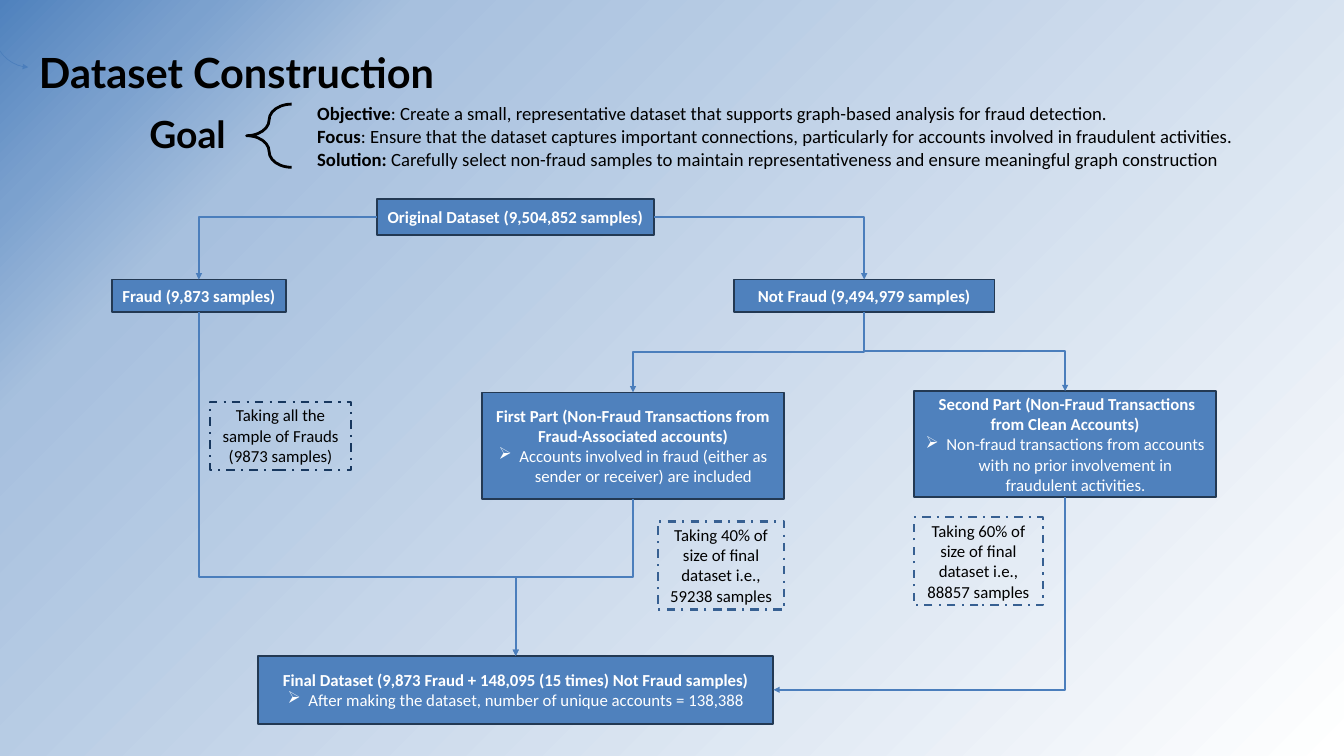
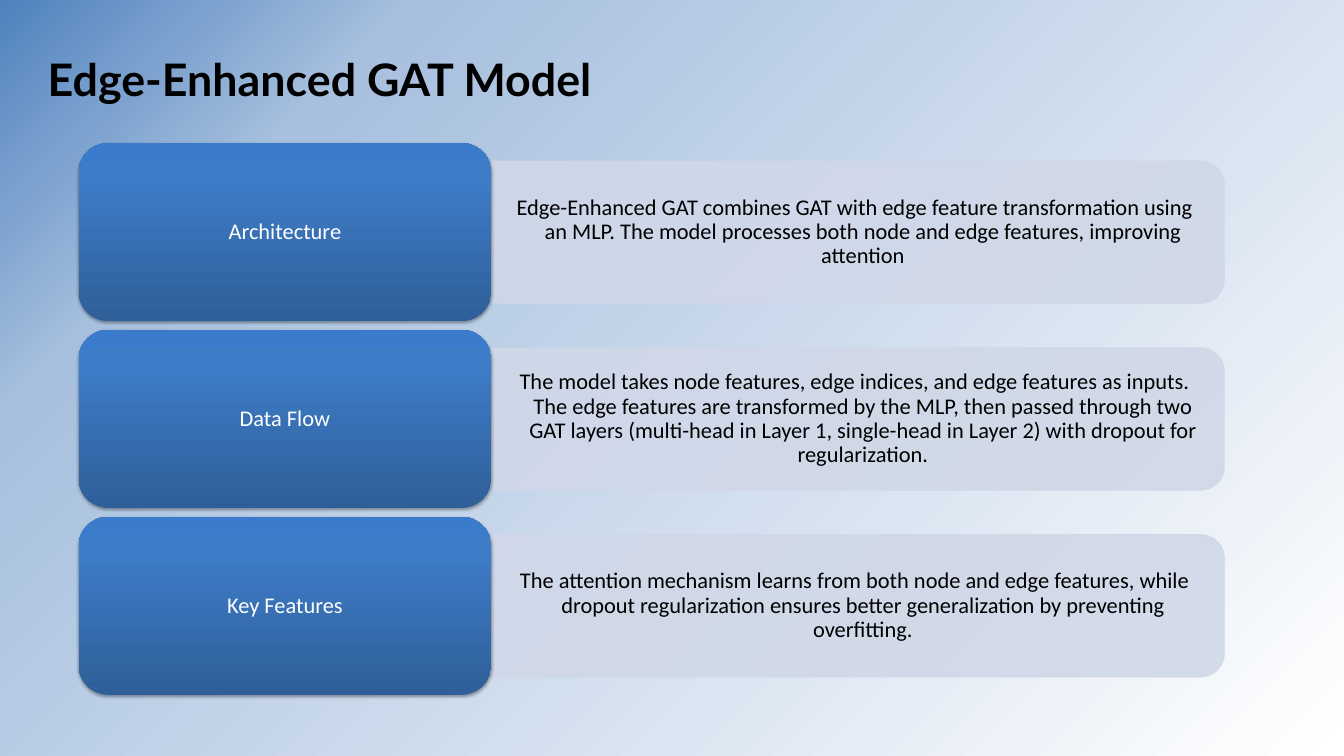
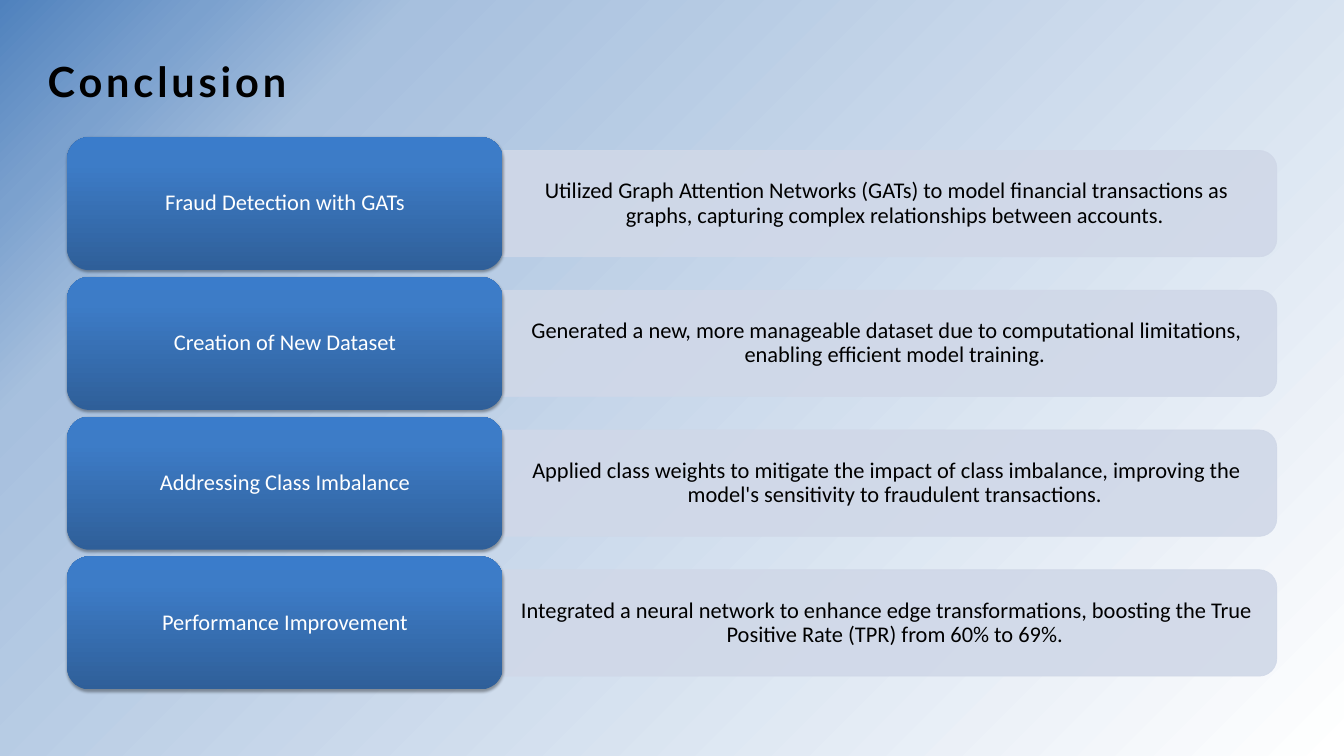
from lxml import etree
from pptx import Presentation
from pptx.dml.color import RGBColor
from pptx.enum.dml import MSO_LINE
from pptx.enum.shapes import MSO_CONNECTOR, MSO_SHAPE
from pptx.enum.text import MSO_ANCHOR, MSO_AUTO_SIZE, PP_ALIGN
from pptx.oxml import parse_xml
from pptx.oxml.ns import nsdecls, qn
from pptx.util import Inches, Pt

RECTANGLE, ROUNDED = MSO_SHAPE.RECTANGLE, MSO_SHAPE.ROUNDED_RECTANGLE
TOP_ROUNDED, BRACE = MSO_SHAPE.ROUND_2_SAME_RECTANGLE, MSO_SHAPE.LEFT_BRACE
ELBOW, CURVE = MSO_CONNECTOR.ELBOW, MSO_CONNECTOR.CURVE
TOP, MIDDLE = MSO_ANCHOR.TOP, MSO_ANCHOR.MIDDLE
LEFT, CENTER, RIGHT = PP_ALIGN.LEFT, PP_ALIGN.CENTER, PP_ALIGN.RIGHT
UP_SIDE, LEFT_SIDE, DOWN_SIDE, RIGHT_SIDE = 0, 1, 2, 3

BLACK = RGBColor(0x00, 0x00, 0x00)
WHITE = RGBColor(0xFF, 0xFF, 0xFF)
BLUE = RGBColor(0x4F, 0x81, 0xBD)
BOX_EDGE = RGBColor(0x23, 0x39, 0x53)
ARROW_BLUE = RGBColor(0x4B, 0x7E, 0xBC)
NAVY = RGBColor(0x17, 0x37, 0x5E)
STEEL = RGBColor(0x37, 0x60, 0x92)
PANEL = RGBColor(0xD0, 0xD8, 0xE8)

# Gradients: (percent, colour) stops and the direction
BACKDROP = ([(0, WHITE), (80, RGBColor(0xA7, 0xC0, 0xDE)),
             (90, RGBColor(0x7B, 0xA1, 0xCE)), (100, BLUE)],
            '<a:path path="circle"><a:fillToRect l="100000" t="100000"/></a:path>')
LABEL_FILL = ([(0, RGBColor(0x2F, 0x5F, 0x99)), (80, RGBColor(0x3D, 0x7C, 0xC7)),
               (100, RGBColor(0x3A, 0x7C, 0xCB))], '<a:lin ang="16200000" scaled="0"/>')
TITLE_FONT, BODY_FONT = "Lato", "Calibri"

# Slide 1 content
GOALS = [
    ("Objective", ": Create a small, representative dataset that supports graph-based analysis "
                  "for fraud detection."),
    ("Focus", ": Ensure that the dataset captures important connections, particularly for "
              "accounts involved in fraudulent activities."),
    ("Solution: ", "Carefully select non-fraud samples to maintain representativeness and "
                   "ensure meaningful graph construction"),
]
# name: (left, top, width, height), heading, bullet
STAGES = {
    "original": ((5.61, 2.96, 4.12, 0.54), "Original Dataset (9,504,852 samples)", None),
    "fraud": ((1.67, 4.16, 2.58, 0.48), "Fraud (9,873 samples)", None),
    "not fraud": ((10.92, 4.16, 3.88, 0.48), "Not Fraud (9,494,979 samples)", None),
    "first": ((7.17, 5.84, 4.5, 1.58),
              "First Part (Non-Fraud Transactions from Fraud-Associated accounts)",
              "Accounts involved in fraud (either as sender or receiver) are included"),
    "second": ((13.6, 5.82, 4.5, 1.58),
               " Second Part (Non-Fraud Transactions from Clean Accounts)",
               "Non-fraud transactions from accounts with no prior involvement in "
               "fraudulent activities."),
    "final": ((3.84, 9.76, 7.67, 1.01),
              "Final Dataset (9,873 Fraud + 148,095 (15 times) Not Fraud samples)",
              "After making the dataset, number of unique accounts = 138,388"),
}
# from, side, to, side, position of the bend (None for a single corner)
FLOWS = [
    ("fraud", DOWN_SIDE, "final", UP_SIDE, 0.77),
    ("first", DOWN_SIDE, "final", UP_SIDE, 0.5),
    ("second", DOWN_SIDE, "final", RIGHT_SIDE, None),
    ("original", LEFT_SIDE, "fraud", UP_SIDE, None),
    ("original", RIGHT_SIDE, "not fraud", UP_SIDE, None),
    ("not fraud", DOWN_SIDE, "first", UP_SIDE, 0.5),
    ("not fraud", DOWN_SIDE, "second", UP_SIDE, 0.5),
]
SAMPLING_NOTES = [
    ((3.12, 5.98, 2.11, 1.01), NAVY, "Taking all the sample of Frauds (9873 samples)"),
    ((9.79, 7.76, 1.88, 1.31), STEEL, "Taking 40% of size of final dataset i.e., 59238 samples"),
    ((13.6, 7.7, 1.92, 1.31), STEEL, "Taking 60% of size of final dataset i.e., 88857 samples"),
]

# Slides 2 and 3 content
MODEL_ROWS = [
    ("Architecture", "Edge-Enhanced GAT combines GAT with edge feature transformation using an "
                     "MLP. The model processes both node and edge features, improving attention"),
    ("Data Flow", "The model takes node features, edge indices, and edge features as inputs. The "
                  "edge features are transformed by the MLP, then passed through two GAT layers "
                  "(multi-head in Layer 1, single-head in Layer 2) with dropout for "
                  "regularization."),
    ("Key Features", "The attention mechanism learns from both node and edge features, while "
                     "dropout regularization ensures better generalization by preventing "
                     "overfitting."),
]
CONCLUSION_ROWS = [
    ("Fraud Detection with GATs", "Utilized Graph Attention Networks (GATs) to model financial "
                                  "transactions as graphs, capturing complex relationships "
                                  "between accounts."),
    ("Creation of New Dataset", "Generated a new, more manageable dataset due to computational "
                                "limitations, enabling efficient model training."),
    ("Addressing Class Imbalance", "Applied class weights to mitigate the impact of class "
                                   "imbalance, improving the model's sensitivity to fraudulent "
                                   "transactions."),
    ("Performance Improvement", "Integrated a neural network to enhance edge transformations, "
                                "boosting the True Positive Rate (TPR) from 60% to 69%."),
]


def inches(values):
    return [Inches(value) for value in values]


def set_gradient(fill, holder, gradient):
    """Swap the solid fill inside holder for a gradient."""
    stops, direction = gradient
    stop_xml = "".join(f'<a:gs pos="{percent * 1000}"><a:srgbClr val="{colour}"/></a:gs>'
                       for percent, colour in stops)
    fill.solid()
    solid = holder.find(".//" + qn("a:solidFill"))
    solid.getparent().replace(solid, parse_xml(
        f'<a:gradFill {nsdecls("a")} rotWithShape="1"><a:gsLst>{stop_xml}</a:gsLst>'
        f'{direction}</a:gradFill>'))


def add_run(para, text, size, colour, bold=False, font=BODY_FONT):
    span = para.add_run()
    span.text = text
    span.font.name, span.font.size, span.font.bold = font, Pt(size), bold
    span.font.color.rgb = colour
    return span


def set_frame(frame, anchor=MIDDLE, insets=(0.1, 0.05)):
    frame.word_wrap = True
    frame.auto_size = MSO_AUTO_SIZE.NONE
    frame.vertical_anchor = anchor
    frame.margin_left = frame.margin_right = Inches(insets[0])
    frame.margin_top = frame.margin_bottom = Inches(insets[1])


def hang(para, indent, bullet=None):
    properties = para._p.get_or_add_pPr()
    properties.set("marL", str(Inches(indent)))
    properties.set("indent", str(-Inches(indent)))
    if bullet:
        etree.SubElement(properties, qn("a:buChar")).set("char", bullet)


def add_box(page, kind, place, fill=None, line=None, width=0):
    box = page.shapes.add_shape(kind, *inches(place))
    box.shadow.inherit = False
    if fill is None:
        box.fill.background()
    else:
        box.fill.solid()
        box.fill.fore_color.rgb = fill
    if line is None:
        box.line.fill.background()
    else:
        box.line.color.rgb = line
        box.line.width = Pt(width)
    return box


def add_text(page, place, insets):
    frame = page.shapes.add_textbox(*inches(place)).text_frame
    set_frame(frame, insets=insets)
    return frame


def add_page(deck, title, place, size, leading, tracking=0):
    page = deck.slides.add_slide(deck.slide_layouts[5])
    holder = page.shapes.title
    holder.left, holder.top, holder.width, holder.height = inches(place)
    set_frame(holder.text_frame, TOP, (0, 0))
    para = holder.text_frame.paragraphs[0]
    para.alignment, para.line_spacing = LEFT, Pt(leading)
    span = add_run(para, title, size, BLACK, True, TITLE_FONT)
    if tracking:
        span.font._element.set("spc", str(round(tracking * 100)))
    return page


def style_arrow(arrow, width):
    arrow.line.color.rgb = ARROW_BLUE
    arrow.line.width = Pt(width)
    properties = arrow.element.spPr
    etree.SubElement(properties.find(qn("a:ln")), qn("a:tailEnd")).set("type", "triangle")
    etree.SubElement(properties, qn("a:effectLst"))


def add_flow(page, start, start_side, end, end_side, bend):
    arrow = page.shapes.add_connector(ELBOW, 0, 0, 0, 0)
    arrow.begin_connect(start, start_side)
    arrow.end_connect(end, end_side)
    properties = arrow.element.spPr
    if start_side == DOWN_SIDE:
        # Turn the elbow so that it leaves downwards
        across, down = arrow.end_x - arrow.begin_x, arrow.end_y - arrow.begin_y
        middle_x, middle_y = arrow.begin_x + across // 2, arrow.begin_y + down // 2
        arrow.width, arrow.height = down, abs(across)
        arrow.left, arrow.top = middle_x - down // 2, middle_y - abs(across) // 2
        frame = properties.find(qn("a:xfrm"))
        frame.set("rot", str((270 if across > 0 else 90) * 60000))
        frame.set("flipH", "1" if across > 0 else "0")
    geometry = properties.find(qn("a:prstGeom"))
    if bend is None:
        geometry.set("prst", "bentConnector2")
    else:
        guide = etree.SubElement(geometry.find(qn("a:avLst")), qn("a:gd"))
        guide.set("name", "adj1")
        guide.set("fmla", f"val {round(bend * 100000)}")
    style_arrow(arrow, 2.25)


def build_dataset_page(deck):
    page = add_page(deck, "Dataset Construction", (0.58, 0.46, 16.35, 0.94), 44.5, 70.5)

    # Goal, brace and its three points
    para = add_text(page, (-1.64, 1.32, 5.31, 1.41), (0.31, 0.11)).paragraphs[0]
    para.alignment, para.line_spacing = RIGHT, 0.9
    add_run(para, "Goal", 40, BLACK, True, TITLE_FONT)
    brace = add_box(page, BRACE, (3.67, 1.55, 0.67, 0.94), line=BLACK, width=3)
    brace.adjustments[0], brace.adjustments[1] = 0.35, 0.5
    frame = add_text(page, (4.64, 1.34, 14.44, 1.41), (0.08, 0.08))
    for index, (term, meaning) in enumerate(GOALS):
        para = frame.add_paragraph() if index else frame.paragraphs[0]
        para.line_spacing, para.space_after = 0.9, Pt(3)
        hang(para, 0.25)
        add_run(para, term, 20, BLACK, True)
        add_run(para, meaning, 20, BLACK)

    # Flow chart
    boxes = {}
    for name, (place, heading, detail) in STAGES.items():
        boxes[name] = box = add_box(page, RECTANGLE, place, BLUE, BOX_EDGE, 2)
        set_frame(box.text_frame)
        para = box.text_frame.paragraphs[0]
        para.alignment = CENTER
        add_run(para, heading, 18, WHITE, True)
        if detail:
            para = box.text_frame.add_paragraph()
            para.alignment = CENTER
            hang(para, 0.31, "➢")
            add_run(para, detail, 18, WHITE)
    for start, start_side, end, end_side, bend in FLOWS:
        add_flow(page, boxes[start], start_side, boxes[end], end_side, bend)
    style_arrow(page.shapes.add_connector(CURVE, *inches((-0.58, 0, 0.42, 1))), 0.75)

    # Dashed sampling notes
    for place, colour, text in SAMPLING_NOTES:
        note = add_box(page, RECTANGLE, place, line=colour, width=2.25)
        note.line.dash_style = MSO_LINE.DASH_DOT
        set_frame(note.text_frame, TOP)
        para = note.text_frame.paragraphs[0]
        para.alignment = CENTER
        add_run(para, text, 18, BLACK)


def add_panel(page, left, top, width, height, text):
    # The shape is turned a quarter so that its round corners face right
    panel = add_box(page, TOP_ROUNDED, (left + (width - height) / 2, top - (width - height) / 2,
                                        height, width), PANEL, PANEL, 0.75)
    panel.rotation = 90
    for colour in panel.element.spPr.iter(qn("a:srgbClr")):
        etree.SubElement(colour, qn("a:alpha")).set("val", "90000")
    para = add_text(page, (left, top + height * 0.05, width - 0.1, height * 0.9),
                    (0.27, 0.14)).paragraphs[0]
    para.alignment, para.line_spacing = CENTER, 0.9
    hang(para, 0.25)
    add_run(para, text, 24, BLACK)


def add_label(page, place, text):
    label = add_box(page, ROUNDED, place)
    set_gradient(label.fill, label.element.spPr, LABEL_FILL)
    label.element.spPr.find(qn("a:effectLst")).append(parse_xml(
        f'<a:outerShdw {nsdecls("a")} blurRad="{Pt(3.1)}" dist="{Pt(1.8)}" dir="5400000" '
        f'rotWithShape="0"><a:srgbClr val="{BLACK}"><a:alpha val="35000"/></a:srgbClr>'
        '</a:outerShdw>'))
    set_frame(label.text_frame, insets=(0.2, 0.15))
    para = label.text_frame.paragraphs[0]
    para.alignment, para.line_spacing = CENTER, 0.9
    add_run(para, text, 24, WHITE)


def add_rows(page, rows, left, top, pitch, label_width, label_height, panel_width):
    panel_height = label_height * 0.8
    for index, (label, text) in enumerate(rows):
        row_top = top + index * pitch
        add_panel(page, left + label_width, row_top + label_height * 0.1,
                  panel_width, panel_height, text)
        add_label(page, (left, row_top, label_width, label_height), label)


def main():
    deck = Presentation()
    deck.slide_width, deck.slide_height = Inches(20), Inches(11.25)
    master = deck.slide_master
    fill = master.background.fill
    fill.solid()
    set_gradient(fill, master.element.find(".//" + qn("p:bgPr")), BACKDROP)

    build_dataset_page(deck)
    page = add_page(deck, "Edge-Enhanced GAT Model", (0.71, 0.4, 8.96, 1.1), 48, 84.7)
    add_rows(page, MODEL_ROWS, 1.17, 2.13, 2.78, 6.14, 2.65, 10.91)
    page = add_page(deck, "Conclusion", (0.71, 0.4, 7.38, 1.08), 44.5, 84.7, 4.1)
    add_rows(page, CONCLUSION_ROWS, 1, 2.04, 2.08, 6.48, 1.98, 11.52)
    deck.save("out.pptx")


if __name__ == "__main__":
    main()
